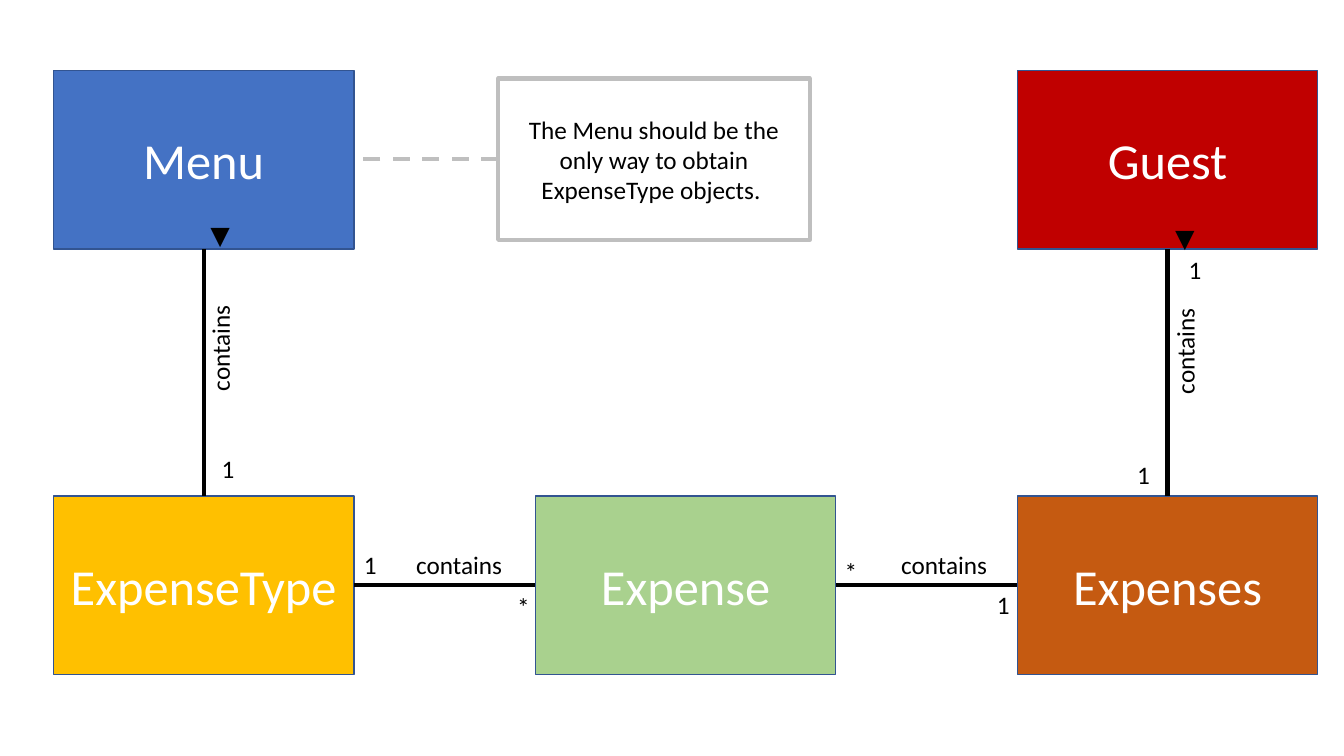
"""Draws a domain model of menus, guests and expenses."""
from lxml import etree
from pptx import Presentation
from pptx.dml.color import RGBColor
from pptx.enum import dml, shapes, text
from pptx.oxml.ns import qn
from pptx.util import Inches, Pt


def paint(color_format, color):
    color_format.rgb = RGBColor.from_string(color)


def write(shape, words, size, color):
    shape.text_frame.word_wrap = True
    paragraph = shape.text_frame.paragraphs[0]
    paragraph.text = words
    paragraph.font.size = Pt(size)
    paragraph.font.name = "Calibri"
    paint(paragraph.font.color, color)
    return paragraph


deck = Presentation()
deck.slide_width, deck.slide_height = Inches(13.33), Inches(7.5)
slide = deck.slides.add_slide(deck.slide_layouts[6])

box_width, box_height = 2.98, 1.77
columns = [0.53 + 4.78 * i for i in range(3)]
top_row, bottom_row = 0.7, 4.92
note_left, note_middle = 4.94, 1.58

entities = [
    ("Menu", columns[0], top_row, "4472C4"),
    ("ExpenseType", columns[0], bottom_row, "FFC000"),
    ("Expense", columns[1], bottom_row, "A9D18E"),
    ("Expenses", columns[2], bottom_row, "C55A11"),
    ("Guest", columns[2], top_row, "C00000"),
]
boxes = [(name, x, y, box_width, box_height, fill, "325491", 1, 36, "FFFFFF")
         for name, x, y, fill in entities]
boxes.append(("The Menu should be the only way to obtain ExpenseType objects. ",
              note_left, 0.78, 3.09, 1.6, None, "BFBFBF", 3, 18, "000000"))
for words, x, y, width, height, fill, border, weight, size, ink in boxes:
    box = slide.shapes.add_shape(shapes.MSO_SHAPE.RECTANGLE, Inches(x), Inches(y),
                                 Inches(width), Inches(height))
    box.shadow.inherit = False
    if fill:
        box.fill.solid()
        paint(box.fill.fore_color, fill)
    else:
        box.fill.background()
    paint(box.line.color, border)
    box.line.width = Pt(weight)
    box.text_frame.vertical_anchor = text.MSO_ANCHOR.MIDDLE
    write(box, words, size, ink).alignment = text.PP_ALIGN.CENTER

relations = []
for x in (columns[0], columns[2]):
    center = x + box_width / 2
    relations.append((center, top_row + box_height, center, bottom_row, "000000", None))
for x, next_x in zip(columns, columns[1:]):
    relations.append((x + box_width, 5.8, next_x, 5.8, "000000", None))
relations.append((note_left, note_middle, columns[0] + box_width, note_middle,
                  "BFBFBF", dml.MSO_LINE.DASH))
for x1, y1, x2, y2, color, dash in relations:
    relation = slide.shapes.add_connector(shapes.MSO_CONNECTOR.STRAIGHT, Inches(x1),
                                          Inches(y1), Inches(x2), Inches(y2))
    paint(relation.line.color, color)
    relation.line.width = Pt(3)
    if dash:
        relation.line.dash_style = dash
    etree.SubElement(relation._element.spPr, qn("a:effectLst"))

labels = [
    ("▲contains", 1.98, 2.29, 0.5, 1.98),
    ("▲contains", 11.55, 2.32, 0.5, 1.98),
    ("contains", 4.03, 5.4, 3.53, 0.4),
    ("contains", 8.84, 5.4, 3.53, 0.4),
    ("1", 11.69, 2.47, 0.4, 0.4),
    ("1", 11.18, 4.51, 0.4, 0.4),
    ("1", 9.79, 5.8, 0.4, 0.4),
    ("*", 8.28, 5.47, 0.4, 0.4),
    ("1", 3.51, 5.4, 0.4, 0.4),
    ("*", 5.03, 5.82, 0.4, 0.4),
    ("1", 2.1, 4.45, 0.4, 0.4),
]
for words, x, y, width, height in labels:
    label = slide.shapes.add_textbox(Inches(x), Inches(y), Inches(width), Inches(height))
    write(label, words, 18, "000000")
    label.text_frame.auto_size = text.MSO_AUTO_SIZE.SHAPE_TO_FIT_TEXT
    if height > width:
        label.rotation = 180
        label.text_frame._txBody.bodyPr.set("vert", "eaVert")

deck.save("out.pptx")
